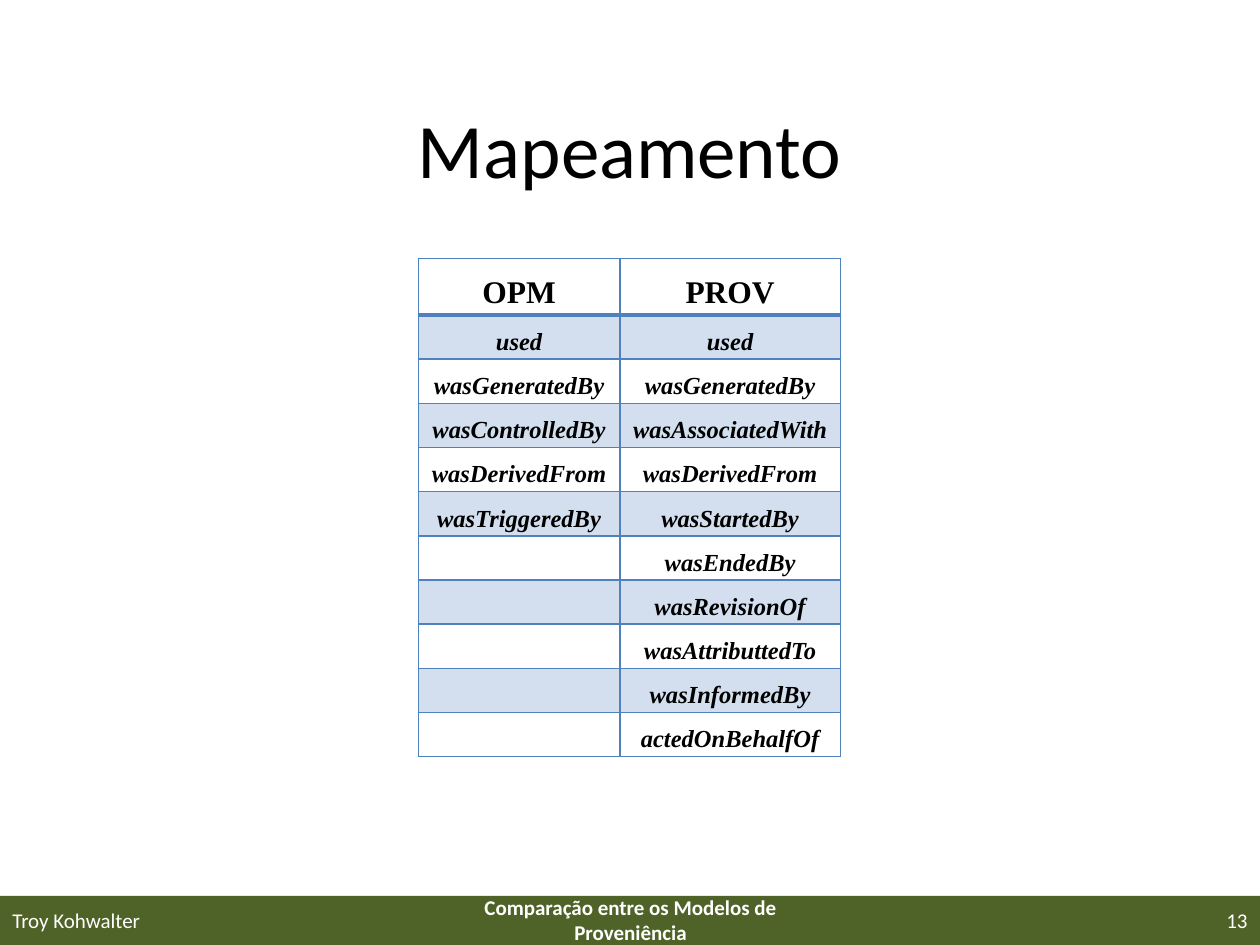
from dataclasses import dataclass

from lxml import etree
from pptx import Presentation
from pptx.dml.color import RGBColor
from pptx.enum.shapes import MSO_SHAPE
from pptx.enum.text import MSO_ANCHOR, PP_ALIGN
from pptx.oxml.ns import qn
from pptx.util import Inches, Pt

LEFT, CENTER, RIGHT = PP_ALIGN.LEFT, PP_ALIGN.CENTER, PP_ALIGN.RIGHT
MIDDLE = MSO_ANCHOR.MIDDLE
RECTANGLE = MSO_SHAPE.RECTANGLE

MAPPING = [
    ("OPM", "PROV"),
    ("used", "used"),
    ("wasGeneratedBy", "wasGeneratedBy"),
    ("wasControlledBy", "wasAssociatedWith"),
    ("wasDerivedFrom", "wasDerivedFrom"),
    ("wasTriggeredBy", "wasStartedBy"),
    ("", "wasEndedBy"),
    ("", "wasRevisionOf"),
    ("", "wasAttributtedTo"),
    ("", "wasInformedBy"),
    ("", "actedOnBehalfOf"),
]


@dataclass(frozen=True)
class Theme:
    text: str = "000000"
    footer_text: str = "FFFFFF"
    footer_fill: str = "4F6228"
    band: str = "D3DFEE"
    border: str = "4F81BD"
    body_font: str = "Calibri"
    table_font: str = "Times New Roman"
    title_size: int = 44
    footer_size: int = 12
    header_size: int = 18
    cell_size: int = 14
    thin: float = 1
    thick: float = 2.25


class SlideBuilder:
    def __init__(self, slide, theme):
        self.slide = slide
        self.theme = theme

    def bar(self, left, top, width, height):
        shape = self.slide.shapes.add_shape(
            RECTANGLE, Inches(left), Inches(top), Inches(width), Inches(height))
        shape.shadow.inherit = False
        shape.fill.solid()
        shape.fill.fore_color.rgb = RGBColor.from_string(self.theme.footer_fill)
        shape.line.fill.background()

    def text(self, text, box, size, color, align=CENTER, bold=False):
        shape = self.slide.shapes.add_textbox(*(Inches(length) for length in box))
        frame = shape.text_frame
        frame.word_wrap = True
        frame.vertical_anchor = MIDDLE
        frame.text = text
        paragraph = frame.paragraphs[0]
        paragraph.alignment = align
        font = paragraph.runs[0].font
        font.name, font.size, font.bold = self.theme.body_font, Pt(size), bold
        font.color.rgb = RGBColor.from_string(color)

    def table(self, rows, left, top, column_widths, header_height, row_height):
        heights = [header_height] + [row_height] * (len(rows) - 1)
        table = self.slide.shapes.add_table(
            len(rows), len(column_widths), Inches(left), Inches(top),
            Inches(sum(column_widths)), Inches(sum(heights))).table
        table.first_row = table.horz_banding = False
        for column, width in zip(table.columns, column_widths):
            column.width = Inches(width)
        for index, (row, height, texts) in enumerate(zip(table.rows, heights, rows)):
            row.height = Inches(height)
            for cell, text in zip(row.cells, texts):
                self.cell(cell, text, index)

    def cell(self, cell, text, row_index):
        theme = self.theme
        is_header = row_index == 0
        cell.margin_left = cell.margin_right = Inches(0.07)
        cell.margin_top = cell.margin_bottom = 0
        size = theme.header_size if is_header else theme.cell_size
        paragraph = cell.text_frame.paragraphs[0]
        paragraph.alignment = CENTER
        paragraph.line_spacing = 1.5
        if text:
            paragraph.text = text
            font = paragraph.runs[0].font
            font.name, font.size = theme.table_font, Pt(size)
            font.bold, font.italic = True, not is_header
            font.color.rgb = RGBColor.from_string(theme.text)
        else:
            # An empty cell takes its line height from the paragraph end mark.
            etree.SubElement(paragraph._p, qn("a:endParaRPr"), sz=str(size * 100))
        self.borders(cell, {
            "L": theme.thin,
            "R": theme.thin,
            "T": theme.thick if row_index == 1 else theme.thin,
            "B": theme.thick if is_header else theme.thin,
        })
        if row_index % 2:
            cell.fill.solid()
            cell.fill.fore_color.rgb = RGBColor.from_string(theme.band)
        else:
            cell.fill.background()

    def borders(self, cell, widths):
        properties = cell._tc.get_or_add_tcPr()
        for side, width in widths.items():
            line = etree.SubElement(properties, qn(f"a:ln{side}"), w=str(Pt(width)))
            fill = etree.SubElement(line, qn("a:solidFill"))
            etree.SubElement(fill, qn("a:srgbClr"), val=self.theme.border)


def main():
    presentation = Presentation()
    presentation.slide_width, presentation.slide_height = Inches(10), Inches(7.5)
    theme = Theme()
    builder = SlideBuilder(
        presentation.slides.add_slide(presentation.slide_layouts[6]), theme)

    builder.bar(0, 7.11, 10, 0.39)
    builder.text("Mapeamento", (0.5, 0.55, 9, 1.25), theme.title_size, theme.text)
    footers = [
        ("Troy Kohwalter", 0, 2.33, LEFT, False),
        ("Comparação entre os Modelos de Proveniência", 3.42, 3.17, CENTER, True),
        ("13", 7.67, 2.33, RIGHT, False),
    ]
    for text, left, width, align, bold in footers:
        builder.text(text, (left, 7.1, width, 0.4), theme.footer_size,
                     theme.footer_text, align, bold)
    builder.table(MAPPING, 3.32, 2.05, (1.6, 1.75), 0.41, 0.32)

    presentation.save("out.pptx")


if __name__ == "__main__":
    main()
